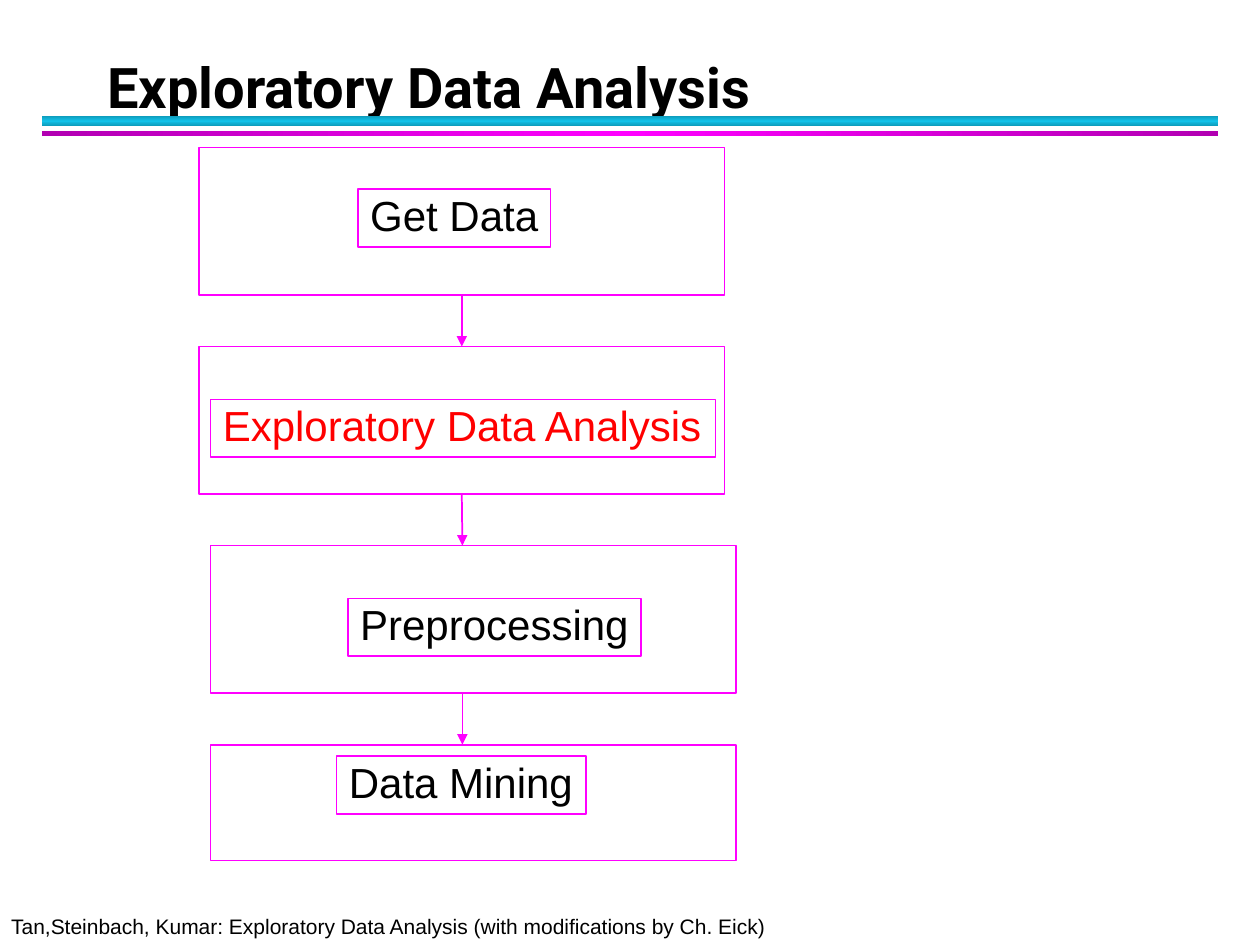
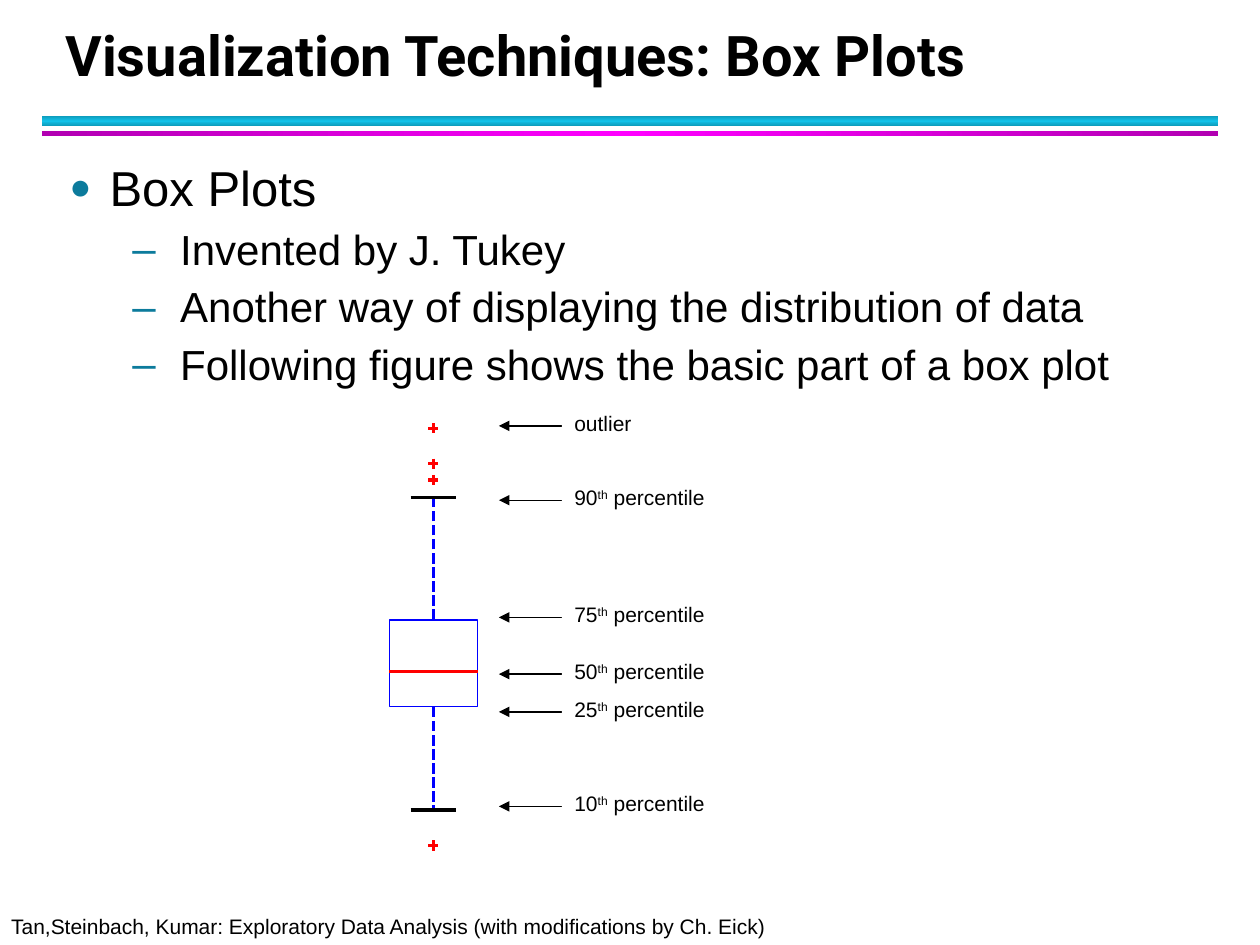
"""Builds two slides on exploratory data analysis: a process flow and a box plot."""
from copy import deepcopy

from pptx import Presentation
from pptx.dml.color import RGBColor
from pptx.enum.dml import MSO_LINE as Dash
from pptx.enum.shapes import MSO_CONNECTOR as Conn, MSO_SHAPE as Kind
from pptx.enum.text import MSO_ANCHOR as Anchor, MSO_AUTO_SIZE as Auto, PP_ALIGN as Align
from pptx.oxml.ns import qn
from pptx.oxml.xmlchemy import OxmlElement as Node
from pptx.util import Inches, Pt

HUES = dict(black="000000", white="FFFFFF", red="FF0000", blue="0000FF",
            pink="FF00FF", plum="B200B2", cyan="12C2E9", teal="0E9BBA", mark="0C7B9C")
WIDE, HIGH = 10, 7.5
FOOT = "Tan,Steinbach, Kumar: Exploratory Data Analysis (with modifications by Ch. Eick)"
BANDS = [(0.92, 0.08, "teal", "cyan", 90), (1.04, 0.04, "plum", "pink", 0)]

FLOW = dict(title="Exploratory Data Analysis", at=(0.75, 0.42))
TOP, STEP, AXIS = 1.17, 1.58, 3.67
STAGES = [
    dict(name="Get Data", left=1.58, high=1.17, tag=(2.84, 1.5, 1.53), hue="black"),
    dict(name="Exploratory Data Analysis", left=1.58, high=1.17, tag=(1.67, 3.17, 4.01), hue="red"),
    dict(name="Preprocessing", left=1.67, high=1.17, tag=(2.76, 4.75, 2.33), hue="black"),
    dict(name="Data Mining", left=1.67, high=0.92, tag=(2.67, 6, 1.98), hue="black"),
]

PLOT = dict(title="Visualization Techniques: Box Plots", at=(0.42, 0.17))
POINTS = [
    (0, "Box Plots"),
    (1, "Invented by J. Tukey"),
    (1, "Another way of displaying the distribution of data"),
    (1, "Following figure shows the basic part of a box plot"),
]
LEVELS = [
    dict(size=28, before=3.5, left=0.32, hang=0.32, sign="●", scale=75),
    dict(size=24, before=3, left=0.88, hang=0.38, sign="–", scale=100),
]
MID, HALF, CAP, ARM = 3.44, 0.35, 0.18, 0.04
P90, P75, P50, P25, P10 = 3.95, 4.92, 5.33, 5.61, 6.43
OUTS = [3.4, 3.68, 3.81, 6.71]
LABELS = [(3.38, "outlier", 0.75, 0.25)] + [
    (y, f"{n}^th^ percentile", 1.37, 0.37)
    for y, n in [(3.97, 90), (4.9, 75), (5.35, 50), (5.65, 25), (6.4, 10)]]


def rgb(hue):
    return RGBColor.from_string(HUES[hue])


def place(shape, x, y, w, h):
    shape.left, shape.top, shape.width, shape.height = map(Inches, (x, y, w, h))


def write(para, text, size=12, font="Arial", hue="black", bold=False,
          space=0.9, before=0, after=4):
    para.alignment = Align.LEFT
    para.line_spacing, para.space_before, para.space_after = space, Pt(before), Pt(after)
    for i, part in enumerate(text.split("^")):
        run = para.add_run()
        run.text = part
        face = run.font
        face.name, face.size, face.bold = font, Pt(size), bold
        face.color.rgb = rgb(hue)
        if i % 2:
            run._r.get_or_add_rPr().set("baseline", "30000")


def frame(shape, anchor=Anchor.TOP, wrap=True):
    area = shape.text_frame
    area.auto_size, area.word_wrap, area.vertical_anchor = Auto.NONE, wrap, anchor
    return area.paragraphs[0]


def rect(slide, x, y, w, h, line=None, width=1, fill=None):
    box = slide.shapes.add_shape(Kind.RECTANGLE, *map(Inches, (x, y, w, h)))
    box.shadow.inherit = False
    if fill:
        box.fill.solid()
        box.fill.fore_color.rgb = rgb(fill)
    else:
        box.fill.background()
    if line:
        box.line.color.rgb, box.line.width = rgb(line), Pt(width)
    else:
        box.line.fill.background()
    return box


def rule(slide, x1, y1, x2, y2, hue, width=0, dash=None, tip=None):
    line = slide.shapes.add_connector(Conn.STRAIGHT, *map(Inches, (x1, y1, x2, y2)))
    line.line.color.rgb, line.line.width = rgb(hue), Pt(width)
    if dash:
        line.line.dash_style = dash
    if tip:
        end = Node(f"a:{tip}")
        end.set("type", "triangle")
        line.line._get_or_add_ln().append(end)
    line._element.spPr.append(Node("a:effectLst"))
    return line


def bullet(para, left, hang, sign, scale):
    props = para._p.get_or_add_pPr()
    props.set("marL", str(Inches(left)))
    props.set("indent", str(-Inches(hang)))
    tint = Node("a:buClr")
    shade = Node("a:srgbClr")
    shade.set("val", HUES["mark"])
    tint.append(shade)
    props.append(tint)
    for tag, key, value in [("buSzPct", "val", str(scale * 1000)),
                            ("buFont", "typeface", "Arial"), ("buChar", "char", sign)]:
        item = Node(f"a:{tag}")
        item.set(key, value)
        props.append(item)


def start(deck, layout, title, at):
    slide = deck.slides.add_slide(deck.slide_layouts[layout])
    for y, h, edge, core, angle in BANDS:
        band = rect(slide, WIDE / 30, y, WIDE * 14 / 15, h)
        band.fill.gradient()
        band.fill.gradient_angle = angle
        stops = band._element.spPr.find(".//" + qn("a:gsLst"))
        stops.append(deepcopy(stops[0]))
        for stop, hue, spot in zip(band.fill.gradient_stops, (edge, core, edge), (0, 0.5, 1)):
            stop.color.rgb, stop.position = rgb(hue), spot
    foot = slide.shapes.add_textbox(*map(Inches, (-0.01, HIGH - 0.28, 6.22, 0.28)))
    write(frame(foot, wrap=False), FOOT)
    head = slide.shapes.title
    place(head, *at, 9.06, 0.58)
    write(frame(head, Anchor.BOTTOM), title, size=32, font="Roboto", bold=True,
          space=Pt(36), after=0)
    return slide


def flow(deck):
    slide = start(deck, 5, **FLOW)
    boxes = []
    for i, stage in enumerate(STAGES):
        boxes.append(rect(slide, stage["left"], TOP + i * STEP, 4.17, stage["high"], "pink"))
        x, y, w = stage["tag"]
        tag = rect(slide, x, y, w, 0.46, "pink")
        write(frame(tag, wrap=False), stage["name"], size=24, hue=stage["hue"])
    for a, b in zip(boxes, boxes[1:]):
        low = (a.top + a.height) / Inches(1)
        line = rule(slide, AXIS, low, AXIS, b.top / Inches(1), "pink", 1, tip="tailEnd")
        for box, join, side in [(a, line.begin_connect, 2), (b, line.end_connect, 0)]:
            if abs(box.left + box.width / 2 - Inches(AXIS)) < Inches(0.02):
                join(box, side)


def plot(deck):
    slide = start(deck, 1, **PLOT)
    body = slide.placeholders[1]
    place(body, 0.45, 1.25, 9.22, 2)
    para = frame(body)
    for i, (level, text) in enumerate(POINTS):
        para = body.text_frame.add_paragraph() if i else para
        para.level = level
        look = dict(LEVELS[level])
        write(para, text, size=look.pop("size"), before=look.pop("before"))
        bullet(para, **look)
    box = rect(slide, MID - HALF, P75, 2 * HALF, P25 - P75, "blue", 0)
    for far, near, side in [(P90, P75, 0), (P10, P25, 2)]:
        stem = rule(slide, MID, near, MID, far, "blue", dash=Dash.SQUARE_DOT)
        stem.begin_connect(box, side)
        rule(slide, MID - CAP, far, MID + CAP, far, "black")
    rule(slide, MID - HALF, P50, MID + HALF, P50, "red")
    for y in OUTS:
        rule(slide, MID - ARM, y, MID + ARM, y, "red")
        rule(slide, MID, y - ARM, MID, y + ARM, "red")
    for y, text, w, h in LABELS:
        rule(slide, 3.96, y, 4.46, y, "black", 0.75, tip="headEnd")
        write(frame(rect(slide, 4.46, y - 0.15, w, h, fill="white")), text)


def main():
    deck = Presentation()
    deck.slide_width, deck.slide_height = Inches(WIDE), Inches(HIGH)
    flow(deck)
    plot(deck)
    deck.save("out.pptx")


if __name__ == "__main__":
    main()
